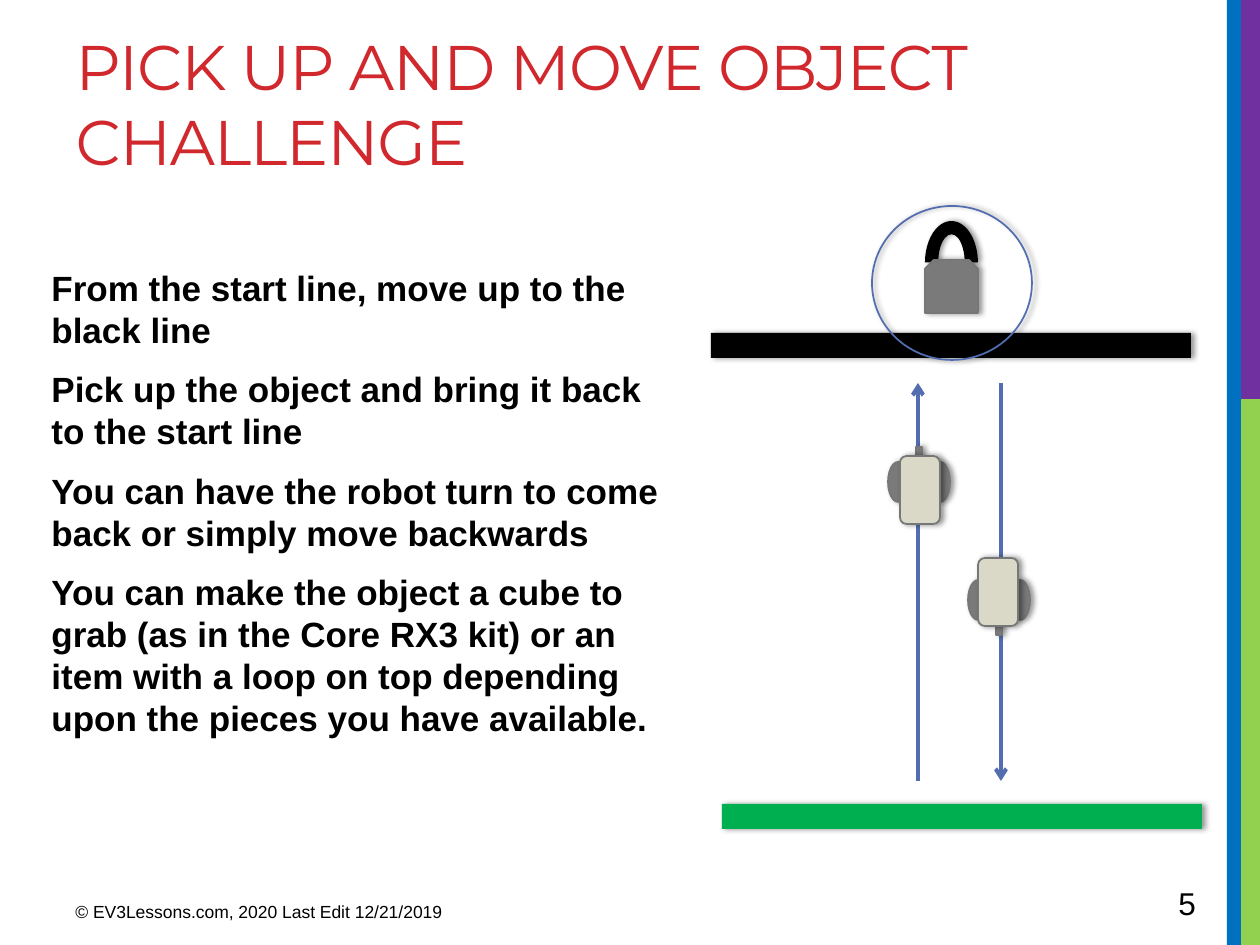
from lxml.etree import SubElement
from pptx import Presentation
from pptx.dml.color import RGBColor
from pptx.enum.shapes import MSO_CONNECTOR, MSO_SHAPE
from pptx.enum.text import MSO_ANCHOR, PP_ALIGN
from pptx.oxml.ns import qn
from pptx.util import Inches, Pt

PX = Inches(1) / 126

RED = RGBColor(0xD1, 0x28, 0x2E)
BLACK = RGBColor(0, 0, 0)
BLUE = RGBColor(0x00, 0x70, 0xC0)
LIME = RGBColor(0x92, 0xD0, 0x50)
PURPLE = RGBColor(0x70, 0x30, 0xA0)
GREEN = RGBColor(0x00, 0xB0, 0x50)
GRAY = RGBColor(0x7A, 0x7A, 0x7A)
EDGE = RGBColor(0x77, 0x77, 0x77)
BEIGE = RGBColor(0xDA, 0xD9, 0xC8)
ARROW = RGBColor(0x52, 0x6D, 0xB0)


def emu(*lengths):
    return [round(v * PX) for v in lengths]


def add_shape(kind, box, fill=None, line=None, shadow=True):
    sp = s.shapes.add_shape(kind, *emu(*box))
    sp.shadow.inherit = False
    if fill is None:
        sp.fill.background()
    else:
        sp.fill.solid()
        sp.fill.fore_color.rgb = fill
    if line is None:
        sp.line.fill.background()
    else:
        sp.line.color.rgb = line
        sp.line.width = Pt(1)
    if shadow:
        effects = sp._element.spPr.find(qn("a:effectLst"))
        outer = SubElement(effects, qn("a:outerShdw"), blurRad=str(Pt(3.1)),
                           dist=str(Pt(1.8)), dir="0", rotWithShape="0")
        color = SubElement(outer, qn("a:srgbClr"), val=str(BLACK))
        SubElement(color, qn("a:alpha"), val="40000")
    return sp


prs = Presentation()
prs.slide_width, prs.slide_height = Inches(10), Inches(7.5)
s = prs.slides.add_slide(prs.slide_layouts[5])

# Side stripes
for box, color in [
    ((1240, 399, 20, 546), LIME),
    ((1235, 0, 25, 399), PURPLE),
    ((1227, 0, 14, 945), BLUE),
]:
    add_shape(MSO_SHAPE.RECTANGLE, box, color, shadow=False)

# Title
title = s.shapes.title
title.left, title.top, title.width, title.height = emu(63, 21, 1137, 189)
tf = title.text_frame
tf.word_wrap = True
tf.vertical_anchor = MSO_ANCHOR.TOP
p = tf.paragraphs[0]
r = p.add_run()
r.text = "PICK UP AND MOVE OBJECT CHALLENGE"
p.alignment = PP_ALIGN.LEFT
p.font.name = "Montserrat"
p.font.size = Pt(36)
p.font.color.rgb = RED
r.font._element.set("spc", "-60")

# Instructions, footer and slide number
steps = [
    "From the start line, move up to the black line",
    "Pick up the object and bring it back to the start line",
    "You can have the robot turn to come back or simply move backwards",
    "You can make the object a cube to grab (as in the Core RX3 kit) or an "
    "item with a loop on top depending upon the pieces you have available.",
]
for box, lines, size, bold in [
    ((39, 260, 651, 550), steps, 20, True),
    ((63, 895, 472, 39), ["© EV3Lessons.com, 2020 Last Edit 12/21/2019"], 10, False),
    ((1166, 878, 87, 50), ["5"], 18, False),
]:
    tf = s.shapes.add_textbox(*emu(*box)).text_frame
    tf.word_wrap = True
    for i, text in enumerate(lines):
        p = tf.add_paragraph() if i else tf.paragraphs[0]
        p.text = text
        p.space_before = Pt(4 if i else 0)
        p.space_after = Pt(6 if bold else 0)
        p.font.name = "Arial"
        p.font.size = Pt(size)
        p.font.bold = bold
        p.font.color.rgb = BLACK

# Black line, start line and the object with its loop
add_shape(MSO_SHAPE.RECTANGLE, (711, 333, 480, 25), BLACK)
add_shape(MSO_SHAPE.RECTANGLE, (722, 804, 480, 25), GREEN)
add_shape(MSO_SHAPE.BLOCK_ARC, (925, 221, 53, 83), BLACK)
add_shape(MSO_SHAPE.SNIP_2_SAME_RECTANGLE, (925, 260, 53, 53), GRAY, EDGE)

# Paths out and back
for x, start, end in [(918, 781, 383), (1001, 383, 781)]:
    path = s.shapes.add_connector(MSO_CONNECTOR.STRAIGHT, *emu(x, start, x, end))
    path.line.color.rgb = ARROW
    path.line.width = Pt(2.25)
    SubElement(path.line._get_or_add_ln(), qn("a:tailEnd"), type="arrow")
    SubElement(path._element.spPr, qn("a:effectLst"))

add_shape(MSO_SHAPE.OVAL, (872, 206, 160, 154), line=ARROW)

# Robots: parts are placed relative to the body, turned about its centre
BODY_W, BODY_H = 40, 68
parts = [
    (MSO_SHAPE.OVAL, (-12, 6, 20, 40), GRAY),
    (MSO_SHAPE.OVAL, (30, 6, 20, 40), GRAY),
    (MSO_SHAPE.RECTANGLE, (16, -9, 6, 18), GRAY),
    (MSO_SHAPE.ROUNDED_RECTANGLE, (0, 0, BODY_W, BODY_H), BEIGE),
]
for left, top, turned in [(900, 456, False), (978, 558, True)]:
    for kind, (x, y, w, h), color in parts:
        if turned:
            x, y = BODY_W - x - w, BODY_H - y - h
        part = add_shape(kind, (left + x, top + y, w, h), color, EDGE)
        part.rotation = 180 if turned else 0

prs.save("out.pptx")
